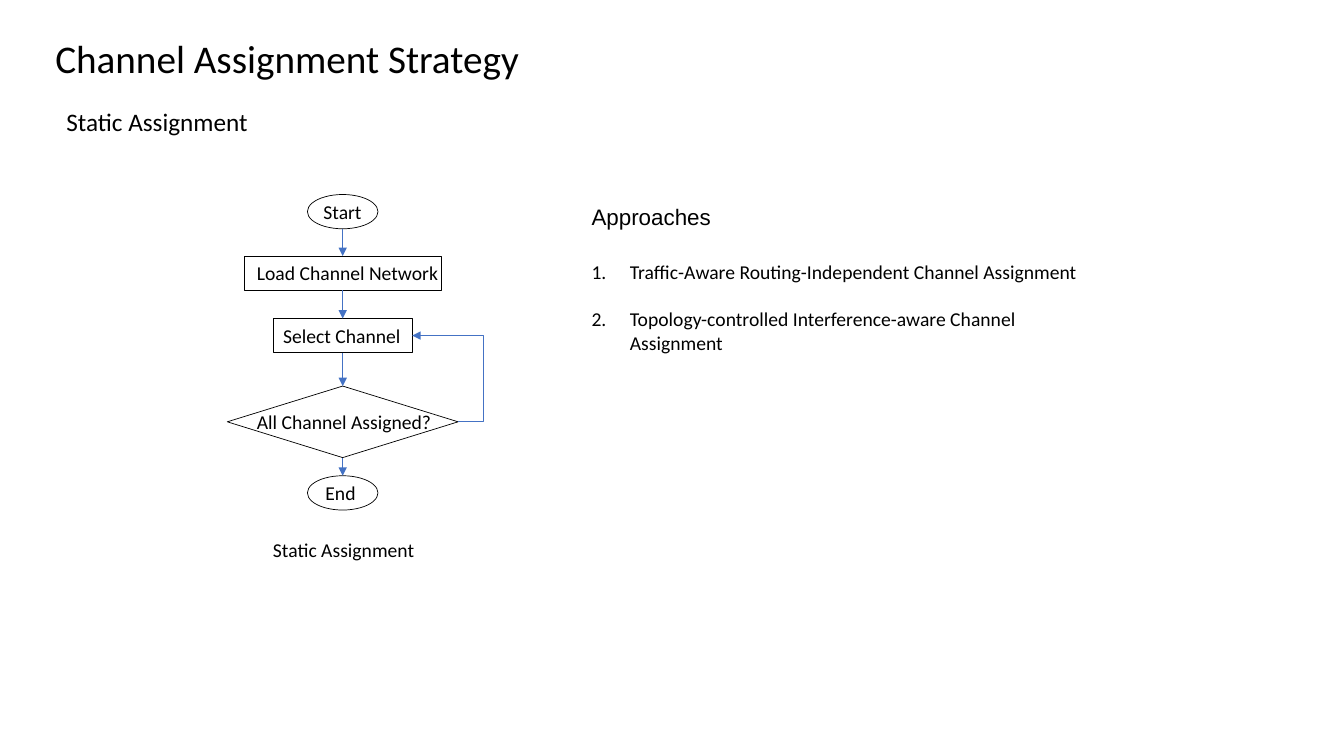
from itertools import pairwise

from lxml.etree import SubElement
from pptx import Presentation
from pptx.dml.color import RGBColor
from pptx.enum.shapes import MSO_CONNECTOR, MSO_SHAPE
from pptx.enum.text import MSO_AUTO_SIZE
from pptx.oxml.ns import qn
from pptx.util import Inches, Pt

BLACK = RGBColor(0x00, 0x00, 0x00)
ARROW_BLUE = RGBColor(0x44, 0x72, 0xC4)
COLUMNS, ROWS = 133.33, 75
TOP, BOTTOM = 0, 2


class FlowSlide:
    font, body_size, line_width = "Calibri", 14, Pt(0.5)
    label_height = 3.4

    def __init__(self, presentation):
        self.slide = presentation.slides.add_slide(presentation.slide_layouts[6])
        self.column = presentation.slide_width / COLUMNS
        self.row = presentation.slide_height / ROWS

    def box(self, left, top, width, height):
        return (round(left * self.column), round(top * self.row),
                round(width * self.column), round(height * self.row))

    def text(self, wording, area, size=None, font=None, wrap=False):
        frame = self.slide.shapes.add_textbox(*self.box(*area)).text_frame
        frame.text = wording
        frame.word_wrap = wrap
        frame.auto_size = MSO_AUTO_SIZE.SHAPE_TO_FIT_TEXT
        for paragraph in frame.paragraphs:
            for run in paragraph.runs:
                run.font.name = font or self.font
                run.font.size = Pt(size or self.body_size)
                run.font.color.rgb = BLACK
        return frame

    def numbered_list(self, items, area, gap):
        frame = self.text("\n".join(items), area, wrap=True)
        indent = Inches(0.38)
        for index, paragraph in enumerate(frame.paragraphs):
            if index:
                paragraph.space_before = gap
            properties = paragraph._p.get_or_add_pPr()
            properties.set("marL", str(indent))
            properties.set("indent", str(-indent))
            SubElement(properties, qn("a:buFont"), typeface="+mj-lt")
            SubElement(properties, qn("a:buAutoNum"), type="arabicPeriod")

    def step(self, kind, wording, center, top, width, height, label_left, label_width):
        outline = self.slide.shapes.add_shape(
            kind, *self.box(center - width / 2, top, width, height))
        outline.shadow.inherit = False
        outline.fill.background()
        outline.line.color.rgb = BLACK
        outline.line.width = self.line_width
        label_top = top + (height - self.label_height) / 2
        self.text(wording, (label_left, label_top, label_width, self.label_height))
        return outline

    def arrow(self, kind, start, end):
        connector = self.slide.shapes.add_connector(kind, *start, *end)
        connector.line.color.rgb = ARROW_BLUE
        connector.line.width = self.line_width
        SubElement(connector.line._get_or_add_ln(), qn("a:tailEnd"), type="triangle")
        SubElement(connector._element.spPr, qn("a:effectLst"))
        return connector

    def arrow_down(self, upper, lower):
        middle = upper.left + upper.width // 2
        connector = self.arrow(MSO_CONNECTOR.STRAIGHT,
                               (middle, upper.top + upper.height), (middle, lower.top))
        if upper.auto_shape_type != MSO_SHAPE.OVAL:
            connector.begin_connect(upper, BOTTOM)
        connector.end_connect(lower, TOP)

    def loop_back(self, source, target, reach):
        start, end = [(step.left + step.width, step.top + step.height // 2)
                      for step in (source, target)]
        connector = self.arrow(MSO_CONNECTOR.ELBOW, start, end)
        bend = round(-100000 * reach * self.column / (start[0] - end[0]))
        geometry = connector._element.spPr.find(qn("a:prstGeom"))
        guides = geometry.find(qn("a:avLst"))
        SubElement(guides, qn("a:gd"), name="adj1", fmla=f"val {bend}")


presentation = Presentation()
presentation.slide_width, presentation.slide_height = Inches(13.33), Inches(7.5)
flow = FlowSlide(presentation)

flow.text("Channel Assignment Strategy", (4.5, 2.9, 48.5, 5.7), size=28)
flow.text("Static Assignment", (5.6, 10.1, 46.1, 4), size=18, wrap=True)

FLOW_CENTER = 34
STEPS = [
    (MSO_SHAPE.OVAL, "Start", 19.3, 7, 3.4, 31.1, 5.9),
    (MSO_SHAPE.RECTANGLE, "Load Channel Network", 25.4, 19.5, 3.4, 24.5, 20.2),
    (MSO_SHAPE.RECTANGLE, "Select Channel", 31.6, 13.8, 3.4, 27.1, 13.8),
    (MSO_SHAPE.DIAMOND, "All Channel Assigned?", 38.3, 22.9, 7.1, 24.5, 19.5),
    (MSO_SHAPE.OVAL, "End", 47.2, 7, 3.4, 31.3, 5.5),
]
steps = [flow.step(kind, wording, FLOW_CENTER, *layout)
         for kind, wording, *layout in STEPS]
for upper, lower in pairwise(steps):
    flow.arrow_down(upper, lower)
start, load, select, all_assigned, end = steps
flow.loop_back(all_assigned, select, reach=2.5)
flow.text("Static Assignment", (26.1, 52.9, 16.2, 3.4))

APPROACHES_LEFT = 57.7
flow.text("Approaches", (APPROACHES_LEFT, 19.7, 34.2, 3.7), size=16, font="Arial", wrap=True)
flow.numbered_list(
    ["Traffic-Aware Routing-Independent Channel Assignment",
     "Topology-controlled Interference-aware Channel Assignment"],
    (APPROACHES_LEFT, 25.3, 53, 8.1), gap=Pt(17))

presentation.save("out.pptx")
